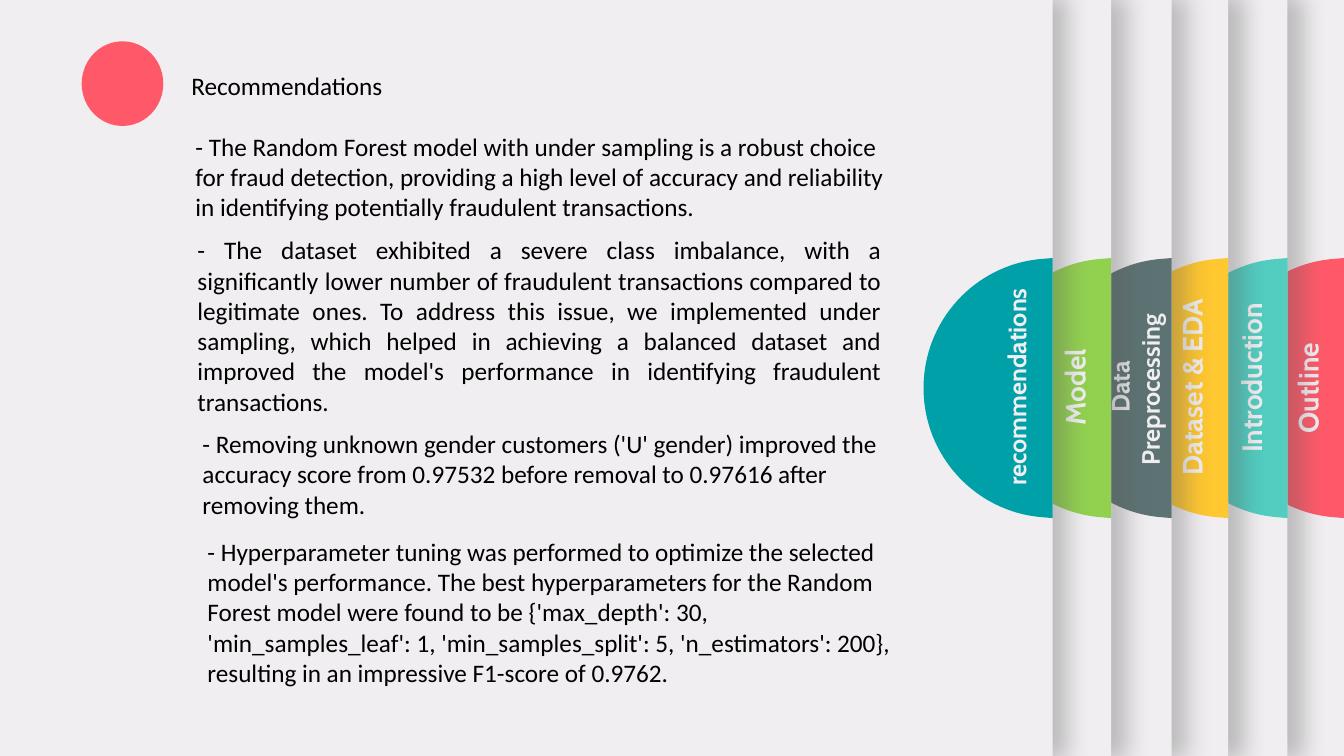
from lxml import etree
from pptx import Presentation
from pptx.dml.color import RGBColor
from pptx.enum.shapes import MSO_SHAPE
from pptx.enum.text import PP_ALIGN
from pptx.oxml.ns import qn
from pptx.util import Inches, Pt

LEFT, CENTER, JUSTIFY = PP_ALIGN.LEFT, PP_ALIGN.CENTER, PP_ALIGN.JUSTIFY
RECTANGLE, OVAL = MSO_SHAPE.RECTANGLE, MSO_SHAPE.OVAL
PAPER, INK, CORAL, SHADE = "F0EEF0", "000000", "FF5969", "595959"

# Content: tabs from back to front (label, colour, right edge, label middle, label height, size)
TABS = [
    ("Outline", CORAL, 13.33, 3.85, 0.44, 20),
    ("Introduction", "52CDC0", 12.77, 3.75, 0.44, 20),
    ("Dataset & EDA", "FFC730", 12.18, 3.84, 0.44, 20),
    ("Data Preprocessing ", "5D7373", 11.62, 3.84, 0.71, 18),
    ("Model", "92D050", 11.02, 3.84, 0.44, 20),
    ("recommendations", "00A0A8", 10.44, 3.84, 0.4, 18),
]
TITLE = ("Recommendations", (1.8, 0.65, 2.12, 0.4))
FINDINGS = [
    ("- The Random Forest model with under sampling is a robust choice for fraud detection, "
     "providing a high level of accuracy and reliability in identifying potentially "
     "fraudulent transactions.", (1.84, 1.25, 7.15, 1.01), LEFT),
    ("- The dataset exhibited a severe class imbalance, with a significantly lower number of "
     "fraudulent transactions compared to legitimate ones. To address this issue, we "
     "implemented under sampling, which helped in achieving a balanced dataset and improved "
     "the model's performance in identifying fraudulent transactions.",
     (1.86, 2.28, 6.98, 1.92), JUSTIFY),
    ("- Hyperparameter tuning was performed to optimize the selected model's performance. "
     "The best hyperparameters for the Random Forest model were found to be "
     "{'max_depth': 30, 'min_samples_leaf': 1, 'min_samples_split': 5, "
     "'n_estimators': 200}, resulting in an impressive F1-score of 0.9762.",
     (1.96, 5.27, 7.04, 1.62), LEFT),
    ("- Removing unknown gender customers ('U' gender) improved the accuracy score from "
     "0.97532 before removal to 0.97616 after removing them.", (1.91, 4.2, 6.97, 1.01), LEFT),
]

# Tab geometry: half-disc outline as offsets from the middle of its right edge
SLIDE_WIDTH, SLIDE_HEIGHT = 13.33, 7.5
TAB_MIDDLE, LABEL_WIDTH, LABEL_INSET = 3.85, 2.18, 0.36
STRAIGHT_POINTS = [(0, -1.29), (0, 1.29), (-0.12, 1.28)]
CURVE_POINTS = [(-0.77, 1.22), (-1.28, 0.67), (-1.28, 0),
                (-1.28, -0.67), (-0.77, -1.22), (-0.12, -1.28)]


def color(hex_code):
    return RGBColor.from_string(hex_code)


def paint(shape, fill):
    shape.shadow.inherit = False
    shape.fill.solid()
    shape.fill.fore_color.rgb = color(fill)
    shape.line.fill.background()


def add_shape(shapes, kind, box, fill):
    shape = shapes.add_shape(kind, *map(Inches, box))
    paint(shape, fill)
    return shape


def cast_shadow(shape):
    effects = shape._element.spPr.find(qn("a:effectLst"))
    shadow = etree.SubElement(effects, qn("a:outerShdw"), blurRad=str(Pt(17)),
                              dist=str(Pt(3)), dir="0", sx="101000", sy="101000",
                              algn="l", rotWithShape="0")
    shade = etree.SubElement(shadow, qn("a:srgbClr"), val=SHADE)
    etree.SubElement(shade, qn("a:alpha"), val="35000")


def add_text(shapes, text, box, size=18, font="Calibri", ink=INK, bold=False,
             align=LEFT, wrap=True):
    shape = shapes.add_textbox(*map(Inches, box))
    shape.text_frame.word_wrap = wrap
    paragraph = shape.text_frame.paragraphs[0]
    paragraph.text = text
    paragraph.alignment = align
    paragraph.font.size = Pt(size)
    paragraph.font.name = font
    paragraph.font.bold = bold
    paragraph.font.color.rgb = color(ink)
    return shape


def add_half_disc(shapes, right, fill):
    points = [(Inches(right + x), Inches(TAB_MIDDLE + y))
              for x, y in STRAIGHT_POINTS + CURVE_POINTS]
    builder = shapes.build_freeform(*points[0])
    builder.add_line_segments(points[1:], close=True)
    shape = builder.convert_to_shape()
    paint(shape, fill)
    # Turn each three trailing line ends into one Bezier curve
    outline = next(shape._element.iter(qn("a:path")))
    ends = outline.findall(qn("a:lnTo"))[-len(CURVE_POINTS):]
    for start in range(0, len(ends), 3):
        curve = etree.Element(qn("a:cubicBezTo"))
        ends[start].addprevious(curve)
        for end in ends[start:start + 3]:
            curve.append(end[0])
            outline.remove(end)


presentation = Presentation()
presentation.slide_width = Inches(SLIDE_WIDTH)
presentation.slide_height = Inches(SLIDE_HEIGHT)
slide = presentation.slides.add_slide(presentation.slide_layouts[6])
slide.background.fill.solid()
slide.background.fill.fore_color.rgb = color(PAPER)

# Stacked sheets, each grouped with its half-disc tab and upright label
for label, fill, right, middle, height, size in TABS:
    sheet = slide.shapes.add_group_shape().shapes
    cast_shadow(add_shape(sheet, RECTANGLE, (0, 0, right, SLIDE_HEIGHT), PAPER))
    add_half_disc(sheet, right, fill)
    label_box = (right - LABEL_INSET - LABEL_WIDTH / 2, middle - height / 2, LABEL_WIDTH, height)
    add_text(sheet, label, label_box, size, "Cabin", PAPER, True, CENTER).rotation = 270

# Heading and findings
add_text(slide.shapes, *TITLE, wrap=False)
add_shape(slide.shapes, OVAL, (0.81, 0.41, 0.81, 0.84), CORAL)
for text, box, align in FINDINGS:
    add_text(slide.shapes, text, box, align=align)

presentation.save("out.pptx")
